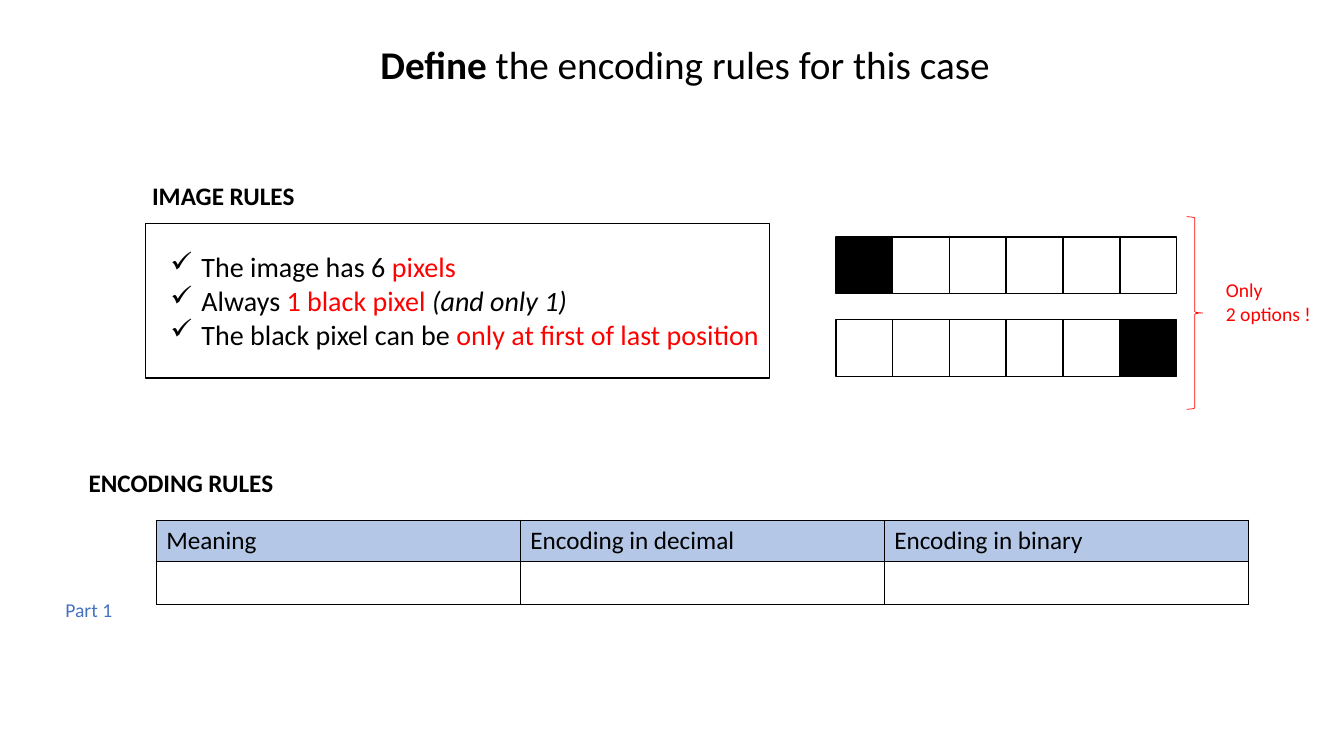
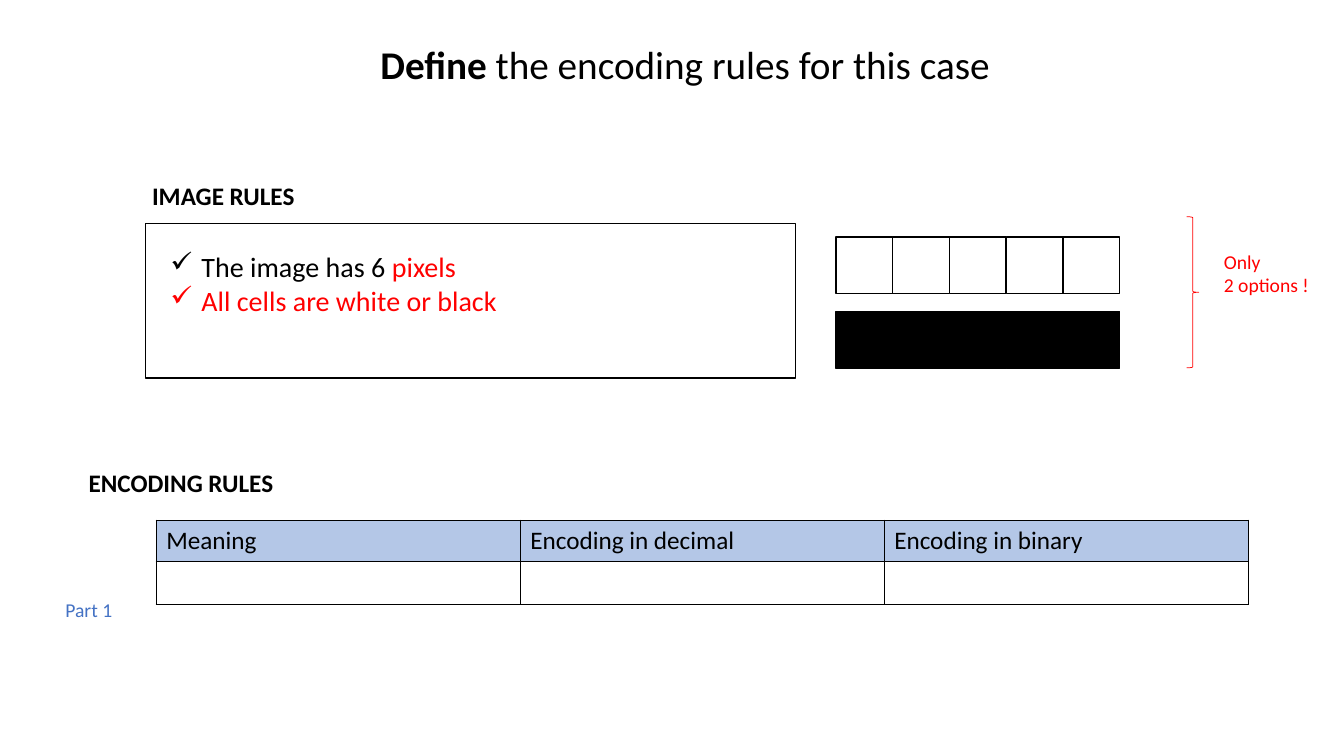
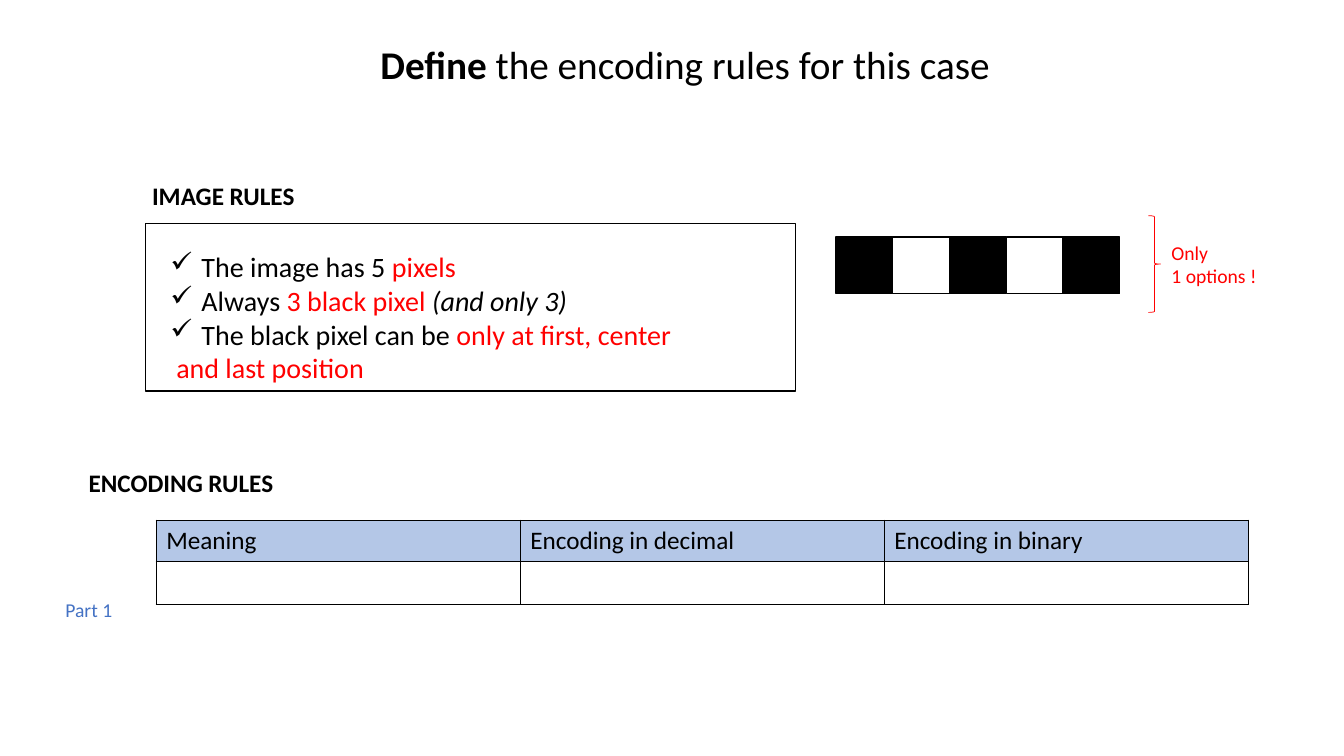
from lxml.etree import SubElement
from pptx import Presentation
from pptx.dml.color import RGBColor
from pptx.enum.shapes import MSO_SHAPE
from pptx.enum.text import MSO_ANCHOR, MSO_AUTO_SIZE, PP_ALIGN
from pptx.oxml import parse_xml
from pptx.oxml.ns import nsdecls, qn
from pptx.util import Inches, Pt

COLORS = {
    "black": "000000",
    "white": "FFFFFF",
    "red": "FF0000",
    "blue": "4472C4",
    "header": "B4C7E7",
}
FONT = "Calibri"
PIXEL = 3.38 / 6  # six pixels span 3.38 inches
BULLET_INDENT = Inches(0.31)
HEADERS = ["Meaning", "Encoding in decimal", "Encoding in binary"]

# Each rule: (bulleted, runs); each run: (text, colour, italic)
RULES_FIRST_OR_LAST = [
    (True, [("The image has 6 ", "black", False), ("pixels", "red", False)]),
    (True, [("Always ", "black", False), ("1 black pixel ", "red", False),
            ("(and only 1)", "black", True)]),
    (True, [("The black pixel can be ", "black", False),
            ("only at first of last position", "red", False)]),
]
RULES_ONE_COLOR = [
    (True, [("The image has 6 ", "black", False), ("pixels", "red", False)]),
    (True, [("All cells are white or black", "red", False)]),
]
RULES_ALTERNATING = [
    (True, [("The image has 5 ", "black", False), ("pixels", "red", False)]),
    (True, [("Always ", "black", False), ("3 black pixel ", "red", False),
            ("(and only 3)", "black", True)]),
    (True, [("The black pixel can be ", "black", False),
            ("only at first, center", "red", False)]),
    (False, [("and last position", "red", False)]),
]

# Strips: (top, pixels) with 1 for black; boxes: left, top, width, height
CASES = [
    {"rules": RULES_FIRST_OR_LAST, "rules_box": (1.44, 2.22, 6.19, 1.53),
     "strips": [(2.35, "100000"), (3.17, "000001")],
     "brace": (11.77, 2.15, 0.16, 1.91), "note_at": (12.06, 2.71),
     "note": ["Only", "2 options !"]},
    {"rules": RULES_ONE_COLOR, "rules_box": (1.44, 2.22, 6.45, 1.53),
     "strips": [(2.35, "00000"), (3.09, "11111")],
     "brace": (11.77, 2.15, 0.12, 1.5), "note_at": (12.04, 2.43),
     "note": ["Only", "2 options !"]},
    {"rules": RULES_ALTERNATING, "rules_box": (1.44, 2.22, 6.45, 1.66),
     "strips": [(2.35, "10101")],
     "brace": (11.39, 2.14, 0.12, 0.96), "note_at": (11.52, 2.34),
     "note": ["Only", "1 options !"]},
]


def rgb(color):
    return RGBColor.from_string(COLORS[color])


def add_run(paragraph, text, size, color="black", bold=False, italic=False):
    run = paragraph.add_run()
    run.text = text
    font = run.font
    font.name, font.size, font.bold, font.italic = FONT, Pt(size), bold, italic
    font.color.rgb = rgb(color)


def paragraph_at(frame, index):
    return frame.add_paragraph() if index else frame.paragraphs[0]


def add_frame(slide, box):
    frame = slide.shapes.add_textbox(*map(Inches, box)).text_frame
    frame.word_wrap = True
    return frame


def add_label(slide, box, lines, size, color="black", bold=False):
    frame = add_frame(slide, box)
    for index, line in enumerate(lines):
        add_run(paragraph_at(frame, index), line, size, color, bold)


def add_outline(slide, preset, box, line, weight, fill=None):
    outline = slide.shapes.add_shape(preset, *map(Inches, box))
    outline.shadow.inherit = False
    outline.line.color.rgb = rgb(line)
    outline.line.width = Pt(weight)
    if fill:
        outline.fill.solid()
        outline.fill.fore_color.rgb = rgb(fill)
    else:
        outline.fill.background()


def set_title(slide):
    title = slide.shapes.title
    title.left, title.top, title.width, title.height = map(
        Inches, (3, 0.35, 7.59, 0.57))
    frame = title.text_frame
    frame.auto_size = MSO_AUTO_SIZE.NONE
    frame.vertical_anchor = MSO_ANCHOR.TOP
    paragraph = frame.paragraphs[0]
    paragraph.alignment = PP_ALIGN.CENTER
    add_run(paragraph, "Define", 28, bold=True)
    add_run(paragraph, " the encoding rules for this case", 28)


def add_check_bullet(paragraph):
    properties = paragraph._p.get_or_add_pPr()
    properties.set("marL", str(BULLET_INDENT))
    properties.set("indent", str(-BULLET_INDENT))
    SubElement(properties, qn("a:buChar")).set("char", "✓")


def add_image_rules(slide, box, rules):
    left, top, width, height = box
    add_label(slide, (left - 0.03, top - 0.48, 2, 0.4), ["IMAGE RULES"], 18,
              bold=True)
    add_outline(slide, MSO_SHAPE.RECTANGLE, box, "black", 1)
    frame = add_frame(slide, (left + 0.15, top + 0.21, 6.25, height - 0.21))
    for index, (bulleted, runs) in enumerate(rules):
        paragraph = paragraph_at(frame, index)
        if bulleted:
            add_check_bullet(paragraph)
        else:
            paragraph._p.get_or_add_pPr().set("marL", str(Inches(0.06)))
        for text, color, italic in runs:
            add_run(paragraph, text, 20, color, italic=italic)


def add_pixel_strip(slide, left, top, pixels):
    for column, pixel in enumerate(pixels):
        box = (left + column * PIXEL, top, PIXEL, PIXEL)
        add_outline(slide, MSO_SHAPE.RECTANGLE, box, "black", 1,
                    "black" if pixel == "1" else "white")


def add_options(slide, case):
    for top, pixels in case["strips"]:
        add_pixel_strip(slide, 8.29, top, pixels)
    add_outline(slide, MSO_SHAPE.RIGHT_BRACE, case["brace"], "red", 0.5)
    add_label(slide, (*case["note_at"], 1.2, 0.57), case["note"], 14, "red")


def border_cell(cell):
    properties = cell._tc.get_or_add_tcPr()
    for index, side in enumerate(("lnL", "lnR", "lnT", "lnB")):
        properties.insert(index, parse_xml(
            f'<a:{side} {nsdecls("a")} w="{Pt(1)}"><a:solidFill>'
            f'<a:srgbClr val="{COLORS["black"]}"/></a:solidFill></a:{side}>'))


def add_encoding_rules(slide, left, top):
    add_label(slide, (left - 0.77, top - 0.57, 2.4, 0.4), ["ENCODING RULES"],
              18, bold=True)
    add_label(slide, (left - 1, top + 0.72, 0.9, 0.34), ["Part 1"], 14, "blue")
    table = slide.shapes.add_table(
        2, len(HEADERS), Inches(left), Inches(top), Inches(10.83),
        Inches(0.84)).table
    table.first_row = table.horz_banding = False
    table.rows[0].height, table.rows[1].height = Inches(0.41), Inches(0.43)
    for column, header in enumerate(HEADERS):
        header_cell, answer_cell = table.cell(0, column), table.cell(1, column)
        add_run(header_cell.text_frame.paragraphs[0], header, 18)
        header_cell.fill.solid()
        header_cell.fill.fore_color.rgb = rgb("header")
        answer_cell.fill.background()
        border_cell(header_cell)
        border_cell(answer_cell)


def add_case_slide(presentation, case):
    slide = presentation.slides.add_slide(presentation.slide_layouts[5])
    set_title(slide)
    add_encoding_rules(slide, 1.55, 5.16)
    add_image_rules(slide, case["rules_box"], case["rules"])
    add_options(slide, case)


def main():
    presentation = Presentation()
    presentation.slide_width = Inches(13.33)
    presentation.slide_height = Inches(7.5)
    for case in CASES:
        add_case_slide(presentation, case)
    presentation.save("out.pptx")


if __name__ == "__main__":
    main()
